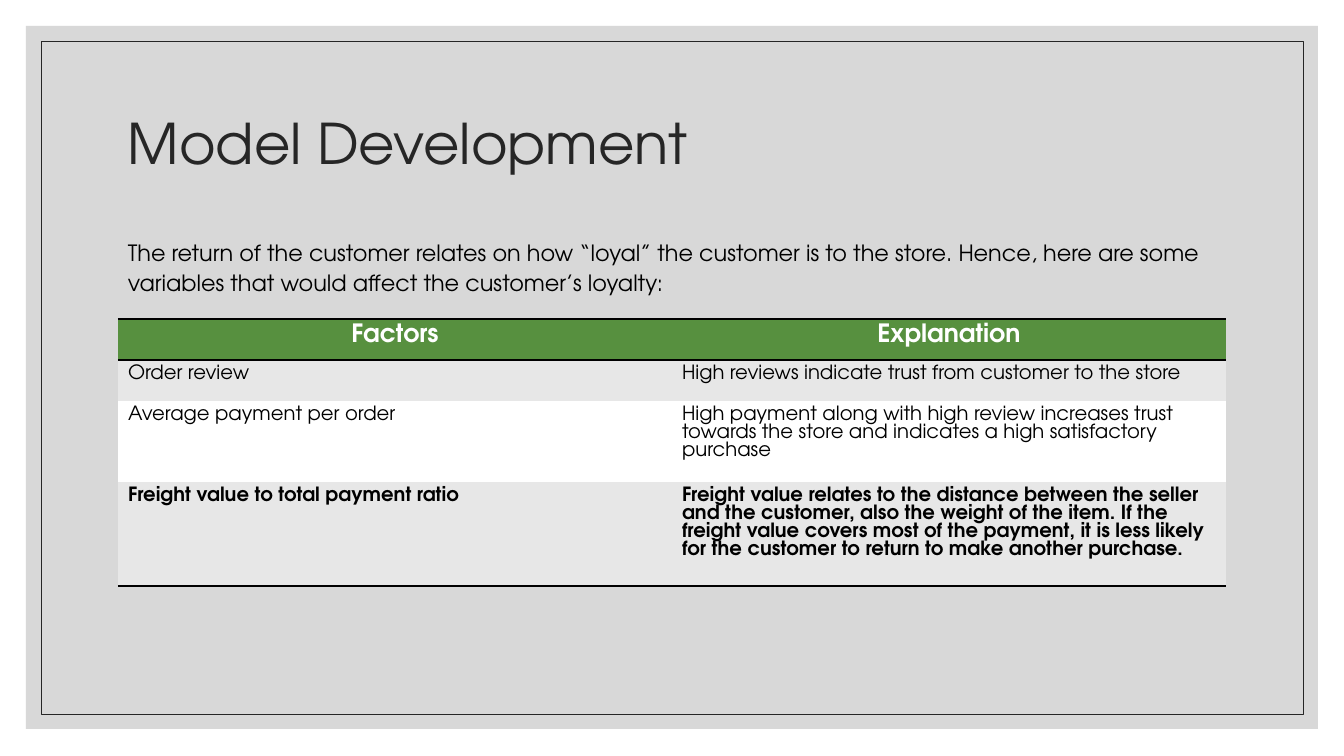
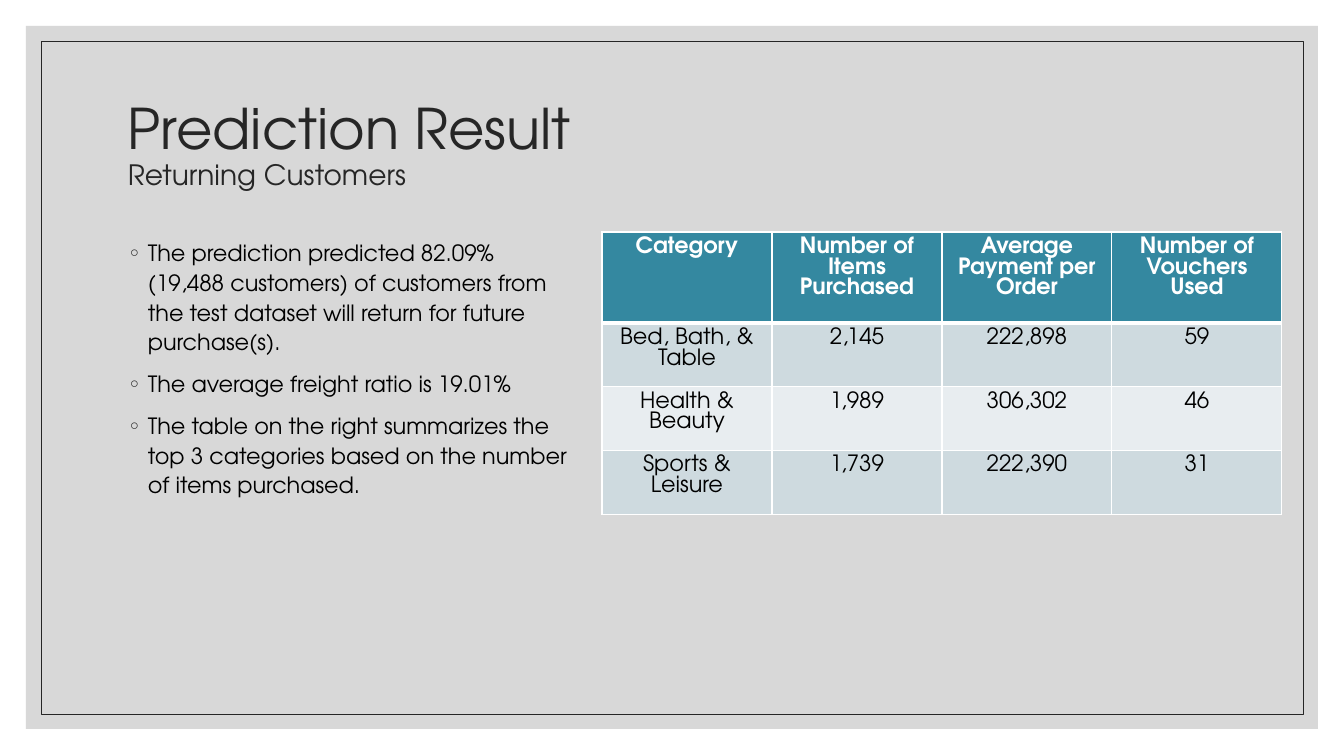
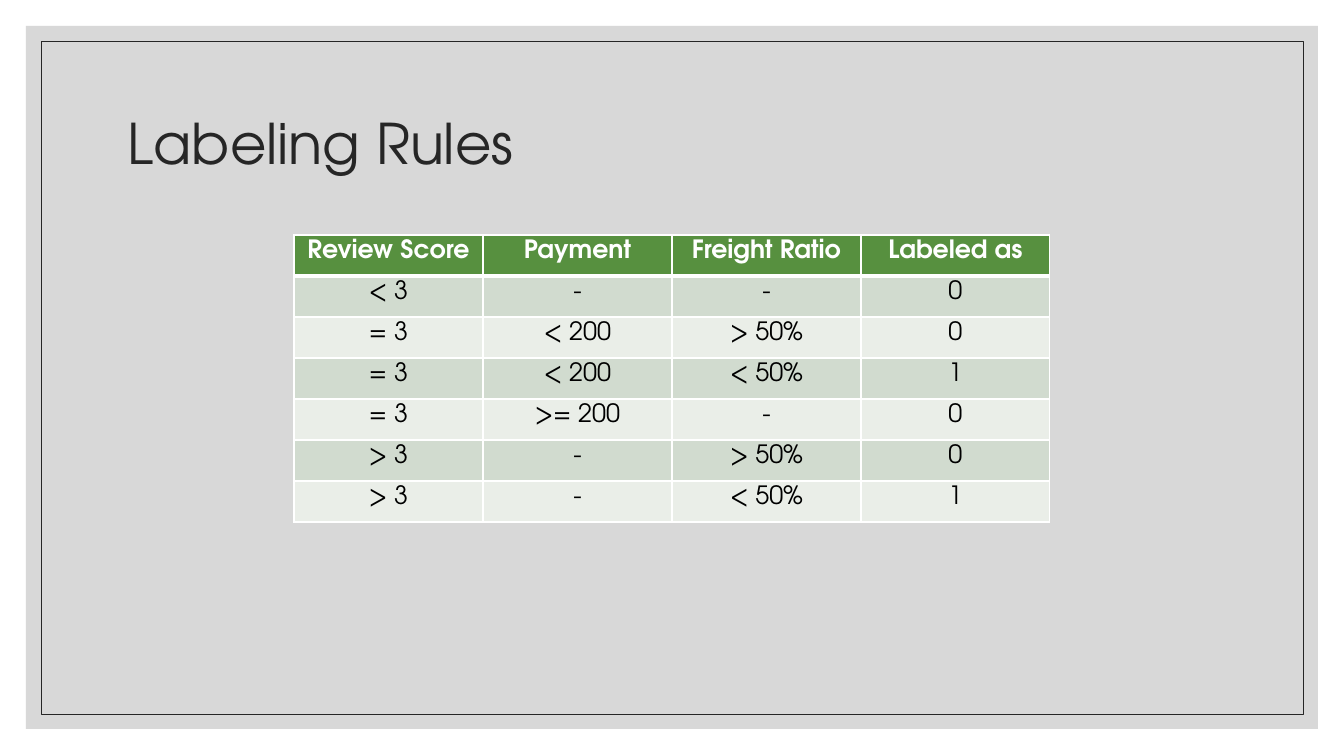
import dataclasses

import lxml.etree
import pptx
import pptx.dml.color
import pptx.enum.shapes
import pptx.enum.text
import pptx.oxml.ns
import pptx.util

SCALE = 914400 / 100.8
LEFT, CONTENT_WIDTH = 118, 1109
BODY_TOP, BODY_HEIGHT = 232, 424
ROW_HEIGHT = 41


@dataclasses.dataclass(frozen=True)
class Theme:
    font: str = "TeX Gyre Adventor"
    bullet_font: str = "Garamond"
    ink: str = "262626"
    black: str = "000000"
    white: str = "FFFFFF"
    panel: str = "BFBFBF"
    panel_alpha: int = 60
    green: str = "57903F"
    green_bands: tuple = ("D1DBCF", "EAEEE8")
    teal: str = "3488A0"
    teal_bands: tuple = ("CEDADF", "E8EDF0")
    gray_bands: tuple = ("E7E7E7", "FFFFFF")
    title: int = 40
    subtitle: int = 20
    heading: int = 18
    body: int = 16
    small: int = 14
    title_spacing: float = 0.9
    body_spacing: float = 1.1


def px(n):
    return pptx.util.Emu(round(n * SCALE))


def rgb(value):
    return pptx.dml.color.RGBColor.from_string(value)


def add_xml(parent, tag, **attrs):
    return lxml.etree.SubElement(parent, pptx.oxml.ns.qn(tag), attrs)


class Deck:
    def __init__(self, theme):
        self.theme = theme
        self.prs = pptx.Presentation()
        self.prs.slide_width, self.prs.slide_height = px(1344), px(756)
        self.s = None

    def slide(self, title, subtitle=None):
        t = self.theme
        self.s = self.prs.slides.add_slide(self.prs.slide_layouts[6])
        self.s.background.fill.solid()
        self.s.background.fill.fore_color.rgb = rgb(t.white)
        self.rect(26, 26, 1292, 703, fill=t.panel, alpha=t.panel_alpha)
        self.rect(41, 41, 1262, 673, line=t.ink)
        self.title(title, subtitle)

    def rect(self, x, y, w, h, fill=None, alpha=100, line=None):
        kind = pptx.enum.shapes.MSO_SHAPE.RECTANGLE
        sp = self.s.shapes.add_shape(kind, px(x), px(y), px(w), px(h))
        sp.shadow.inherit = False
        if fill:
            sp.fill.solid()
            sp.fill.fore_color.rgb = rgb(fill)
            color = sp.fill._xPr.find(".//" + pptx.oxml.ns.qn("a:srgbClr"))
            add_xml(color, "a:alpha", val=str(alpha * 1000))
        else:
            sp.fill.background()
        if line:
            sp.line.color.rgb = rgb(line)
            sp.line.width = pptx.util.Pt(0.5)
        else:
            sp.line.fill.background()

    def textbox(self, x, y, w, h):
        tf = self.s.shapes.add_textbox(px(x), px(y), px(w), px(h)).text_frame
        tf.word_wrap = True
        return tf

    def style(self, font, size, color, bold=False):
        font.name = self.theme.font
        font.size = pptx.util.Pt(size)
        font.color.rgb = rgb(color)
        font.bold = bold

    def title(self, text, subtitle):
        t = self.theme
        tf = self.textbox(LEFT, 71, CONTENT_WIDTH, 151)
        tf.vertical_anchor = pptx.enum.text.MSO_ANCHOR.MIDDLE
        p = tf.paragraphs[0]
        p.line_spacing = t.title_spacing
        r = p.add_run()
        r.text = text
        self.style(r.font, t.title, t.ink)
        if subtitle:
            p.add_line_break()
            r = p.add_run()
            r.text = subtitle
            self.style(r.font, t.subtitle, t.ink)

    def body(self, texts, w=CONTENT_WIDTH, bullets=False):
        t = self.theme
        tf = self.textbox(LEFT, BODY_TOP, w, BODY_HEIGHT)
        for i, text in enumerate(texts):
            p = tf.add_paragraph() if i else tf.paragraphs[0]
            p.text = text
            p.line_spacing = t.body_spacing
            p.space_before = pptx.util.Pt(9)
            if bullets:
                self.bullet(p)
            self.style(p.font, t.body, t.black)

    def bullet(self, p):
        pPr = p._p.get_or_add_pPr()
        pPr.set("marL", str(px(20)))
        pPr.set("indent", str(-px(20)))
        color = add_xml(pPr, "a:buClr")
        add_xml(color, "a:srgbClr", val=self.theme.ink)
        add_xml(pPr, "a:buFont", typeface=self.theme.bullet_font)
        add_xml(pPr, "a:buChar", char="◦")

    def border(self, cell, side, color, width):
        tcPr = cell._tc.get_or_add_tcPr()
        ln = add_xml(tcPr, "a:ln" + side, w=str(pptx.util.Pt(width)))
        if width:
            fill = add_xml(ln, "a:solidFill")
            add_xml(fill, "a:srgbClr", val=color)
        else:
            add_xml(ln, "a:noFill")

    def table(self, x, y, col_width, rows, header, bands, rules, head_size, size,
              line=Theme.white, upright=1, center_body=True, bold_last=False):
        t = self.theme
        n_rows, n_cols = len(rows), len(rows[0])
        table = self.s.shapes.add_table(
            n_rows, n_cols, px(x), px(y),
            px(col_width * n_cols), px(ROW_HEIGHT * n_rows)).table
        table.first_row = table.horz_banding = False
        for col in table.columns:
            col.width = px(col_width)
        for i, row in enumerate(rows):
            table.rows[i].height = px(ROW_HEIGHT)
            is_header = i == 0
            bold = is_header or (bold_last and i == n_rows - 1)
            for j, text in enumerate(row):
                cell = table.cell(i, j)
                widths = {"L": upright, "R": upright,
                          "T": rules[i], "B": rules[i + 1]}
                for side, width in widths.items():
                    self.border(cell, side, line, width)
                cell.fill.solid()
                fill = header if is_header else bands[(i - 1) % 2]
                cell.fill.fore_color.rgb = rgb(fill)
                p = cell.text_frame.paragraphs[0]
                p.text = text
                if is_header or center_body:
                    p.alignment = pptx.enum.text.PP_ALIGN.CENTER
                self.style(p.font, head_size if is_header else size,
                           t.white if is_header else t.black, bold)


theme = Theme()
deck = Deck(theme)

deck.slide("Model Development")
deck.body(["The return of the customer relates on how “loyal” the customer is to the store. "
           "Hence, here are some variables that would affect the customer’s loyalty:"])
factors = [
    ("Factors", "Explanation"),
    ("Order review", "High reviews indicate trust from customer to the store"),
    ("Average payment per order",
     "High payment along with high review increases trust towards the store "
     "and indicates a high satisfactory purchase"),
    ("Freight value to total payment ratio",
     "Freight value relates to the distance between the seller and the customer, "
     "also the weight of the item. If the freight value covers most of the payment, "
     "it is less likely for the customer to return to make another purchase."),
]
deck.table(LEFT, 319, 554, factors, theme.green, theme.gray_bands, [2, 2, 0, 0, 2],
           theme.heading, theme.small, line=theme.black, upright=0,
           center_body=False, bold_last=True)

deck.slide("Prediction Result", "Returning Customers")
deck.body([
    "The prediction predicted 82.09% (19,488 customers) of customers from the test "
    "dataset will return for future purchase(s).",
    "The average freight ratio is 19.01%",
    "The table on the right summarizes the top 3 categories based on the number of "
    "items purchased.",
], w=462, bullets=True)
categories = [
    ("Category", "Number of Items Purchased", "Average Payment per Order",
     "Number of Vouchers Used"),
    ("Bed, Bath, & Table", "2,145", "222,898", "59"),
    ("Health & Beauty", "1,989", "306,302", "46"),
    ("Sports & Leisure", "1,739", "222,390", "31"),
]
deck.table(602, BODY_TOP, 170, categories, theme.teal, theme.teal_bands,
           [1, 3, 1, 1, 1], theme.body, theme.body)

deck.slide("Labeling Rules")
labels = [
    ("Review Score", "Payment", "Freight Ratio", "Labeled as"),
    ("< 3", "-", "-", "0"),
    ("= 3", "< 200", "> 50%", "0"),
    ("= 3", "< 200", "< 50%", "1"),
    ("= 3", ">= 200", "-", "0"),
    ("> 3", "-", "> 50%", "0"),
    ("> 3", "-", "< 50%", "1"),
]
deck.table(294, 235, 189, labels, theme.green, theme.green_bands,
           [1, 3, 1, 1, 1, 1, 1, 1], theme.heading, theme.heading)

deck.prs.save("out.pptx")
